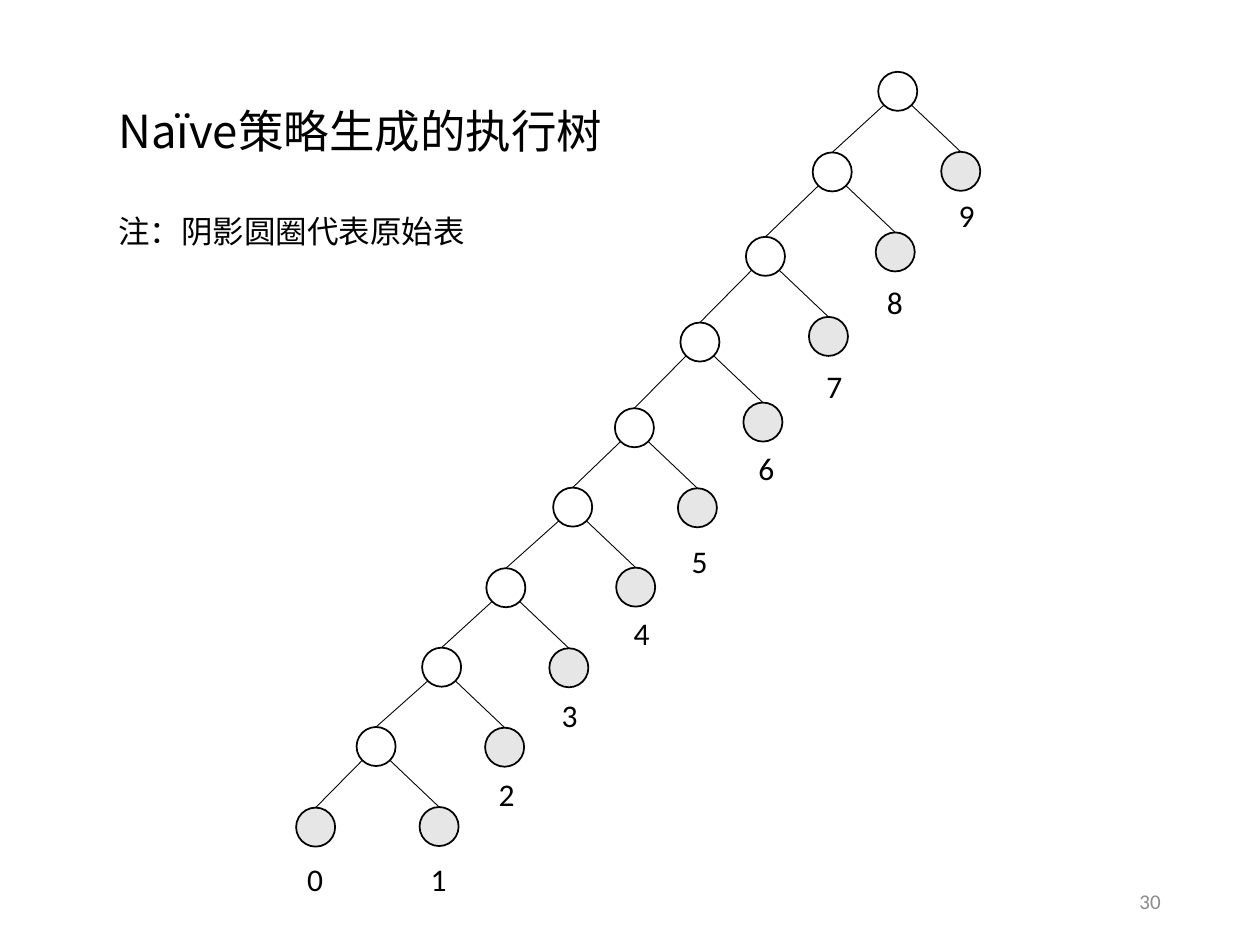
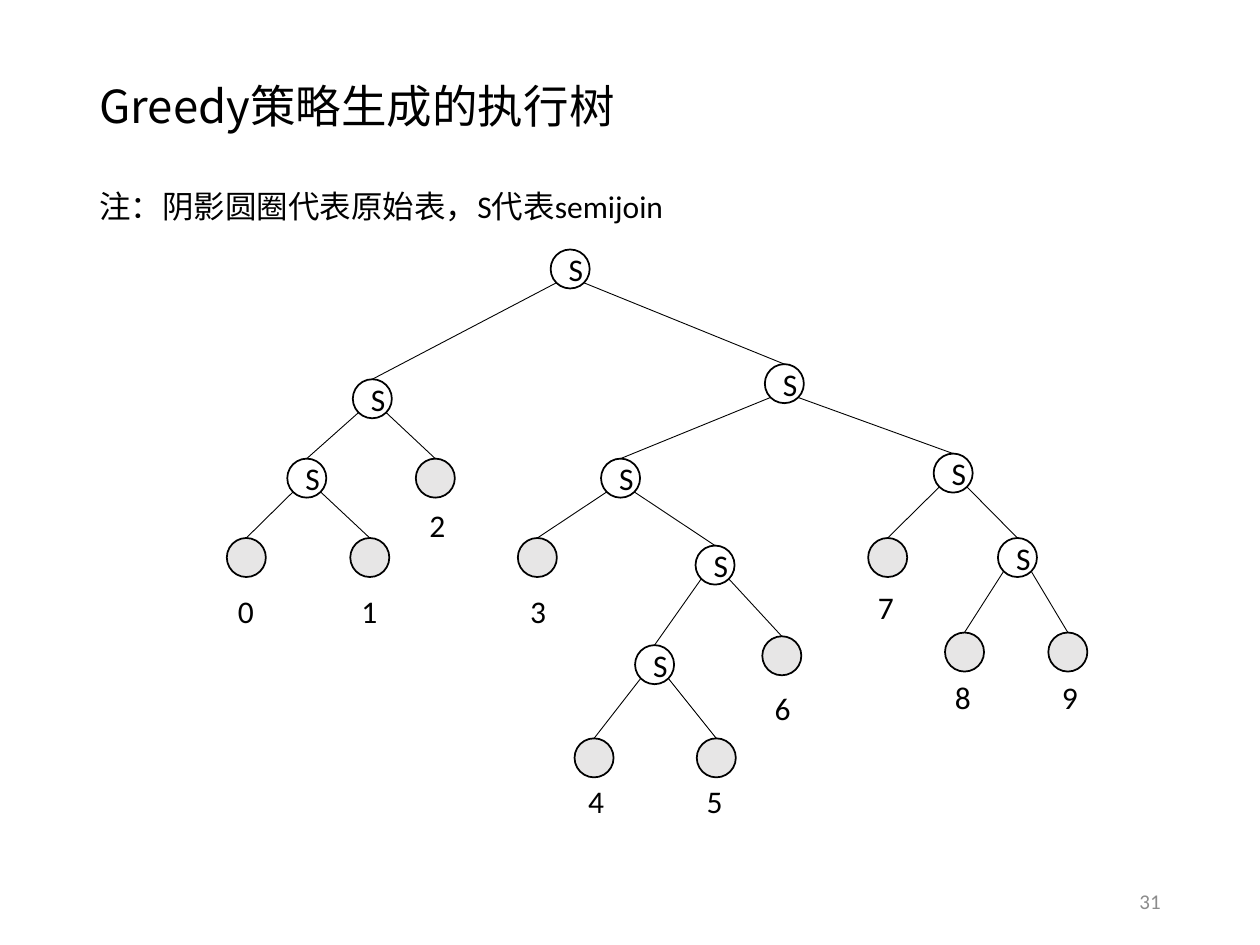
from lxml import etree
from pptx import Presentation
from pptx.dml.color import RGBColor
from pptx.enum import shapes, text
from pptx.oxml.ns import qn
from pptx.util import Inches, Pt

BLACK = RGBColor(0x00, 0x00, 0x00)
WHITE = RGBColor(0xFF, 0xFF, 0xFF)
SHADE = RGBColor(0xE7, 0xE6, 0xE6)
GREY = RGBColor(0x8C, 0x8C, 0x8C)
LATIN, HAN = "Calibri", "Noto Sans CJK SC"

deck = Presentation()
deck.slide_width, deck.slide_height = Inches(10), Inches(7.5)
COL = deck.slide_width / 100  # the grid has 100 columns
ROW = deck.slide_height / 75  # and 75 rows
DISC = 3.1                    # circle size in cells
RIM = DISC * (1 - 0.5 ** 0.5) / 2  # from the box corner to the circle at 45°

# Nodes are keyed 0 to 9 for tables and by letter for joins.
# Naive: a spine of joins, with table k + 1 at a fixed step from join k.
spine = dict(zip("abcdefghi", [
    (28.3, 57.7), (33.5, 51.4), (38.6, 45.1), (43.9, 38.7), (48.8, 32.4),
    (54, 25.6), (59.2, 18.8), (64.5, 12.1), (69.7, 5.7)]))
chain = {0: (23.5, 64.1)}
chain.update({k: (x + 5, y + 6.35)
              for k, (x, y) in enumerate(spine.values(), 1)})
lower = [0, *spine]
trees = [
    dict(title="Naïve策略生成的执行树", note="注：阴影圆圈代表原始表",
         head=(8.4, 7.7, 41.1), page="30", mark="",
         joins=spine, leaves=chain,
         kids={join: (lower[k], k + 1) for k, join in enumerate(spine)},
         shift=[(-0.1, 3.7), (-0.1, 3.7), (0.1, 3.3), (0, 3.3), (0.4, 3.2),
                (0.1, 3.8), (0.2, 3.2), (0.4, 3.5), (-0.1, 3.5), (0.4, 3)]),
    dict(title="Greedy策略生成的执行树", note="注：阴影圆圈代表原始表，S代表semijoin",
         head=(6.9, 5.7, 47.2), page="31", mark="S",
         joins=dict(a=(43.7, 19.8), b=(28, 30.1), c=(22.8, 36.4),
                    d=(60.7, 28.9), e=(47.7, 36.4), f=(55.2, 43.3),
                    g=(50.4, 51.2), h=(74.1, 36), i=(79.2, 42.7)),
         leaves=dict(enumerate([
             (18, 42.7), (27.8, 42.7), (33, 36.4), (41.1, 42.7), (45.6, 58.6),
             (55.3, 58.6), (60.5, 50.5), (68.9, 42.7), (75, 50.2),
             (83.2, 50.2)])),
         kids=dict(a="bd", b=("c", 2), c=(0, 1), d="eh", e=(3, "f"),
                   f=("g", 6), g=(4, 5), h=(7, "i"), i=(8, 9)),
         shift=[(-0.1, 3.8), (-0.1, 3.8), (0.1, 3.3), (0, 3.8), (0.1, 3),
                (-0.2, 3), (0, 3.7), (-0.2, 3.5), (-0.2, 3.1), (0.1, 3.1)]),
]


def write(para, words, size=18, latin=LATIN, ink=BLACK):
    """Add a run that uses HAN for its Chinese letters."""
    run = para.add_run()
    run.text = words
    for name, value in dict(size=Pt(size), name=latin).items():
        setattr(run.font, name, value)
    run.font.color.rgb = ink
    east = etree.SubElement(run.font._element, qn("a:ea"))
    east.set("typeface", HAN)


def frame(slide, x, y, wide, high, wrap=True):
    """Add a text box placed on the grid and return its text frame."""
    box = slide.shapes.add_textbox(
        int(x * COL), int(y * ROW), int(wide * COL), int(high * ROW))
    box.text_frame.word_wrap = wrap
    return box.text_frame


for tree in trees:
    slide = deck.slides.add_slide(deck.slide_layouts[6])

    head = frame(slide, *tree["head"], 12.8)
    title, note = head.paragraphs[0], head.add_paragraph()
    write(title, tree["title"], 26, HAN)
    write(note, tree["note"])
    title.line_spacing, note.line_spacing = Pt(31), Pt(22)
    note.space_before = Pt(31)

    nodes = {**tree["joins"], **tree["leaves"]}
    for key, (x, y) in nodes.items():
        disc = slide.shapes.add_shape(
            shapes.MSO_SHAPE.OVAL, int(x * COL), int(y * ROW),
            int(DISC * COL), int(DISC * ROW))
        disc.shadow.inherit = False
        disc.fill.solid()
        disc.fill.fore_color.rgb = SHADE if key in tree["leaves"] else WHITE
        disc.line.color.rgb = BLACK
        disc.line.width = Pt(1)
        if key in tree["joins"] and tree["mark"]:
            body = disc.text_frame
            body.vertical_anchor = text.MSO_ANCHOR.MIDDLE
            body.paragraphs[0].alignment = text.PP_ALIGN.CENTER
            write(body.paragraphs[0], tree["mark"])

    for join, pair in tree["kids"].items():
        x, y = nodes[join]
        for kid, side in zip(pair, (RIM, DISC - RIM)):
            left, top = nodes[kid]
            edge = slide.shapes.add_connector(
                shapes.MSO_CONNECTOR.STRAIGHT,
                int((x + side) * COL), int((y + DISC - RIM) * ROW),
                int((left + DISC / 2) * COL), int(top * ROW))
            edge.line.color.rgb = BLACK
            edge.line.width = Pt(0.5)
            etree.SubElement(edge._element.spPr, qn("a:effectLst"))

    for key, (right, down) in enumerate(tree["shift"]):
        x, y = tree["leaves"][key]
        label = frame(slide, x + right, y + down, 3.3, 4, wrap=False)
        write(label.paragraphs[0], str(key))

    foot = frame(slide, 70.6, 69.5, 22.5, 4)
    foot.vertical_anchor = text.MSO_ANCHOR.MIDDLE
    foot.paragraphs[0].alignment = text.PP_ALIGN.RIGHT
    write(foot.paragraphs[0], tree["page"], 12, LATIN, GREY)

deck.save("out.pptx")
